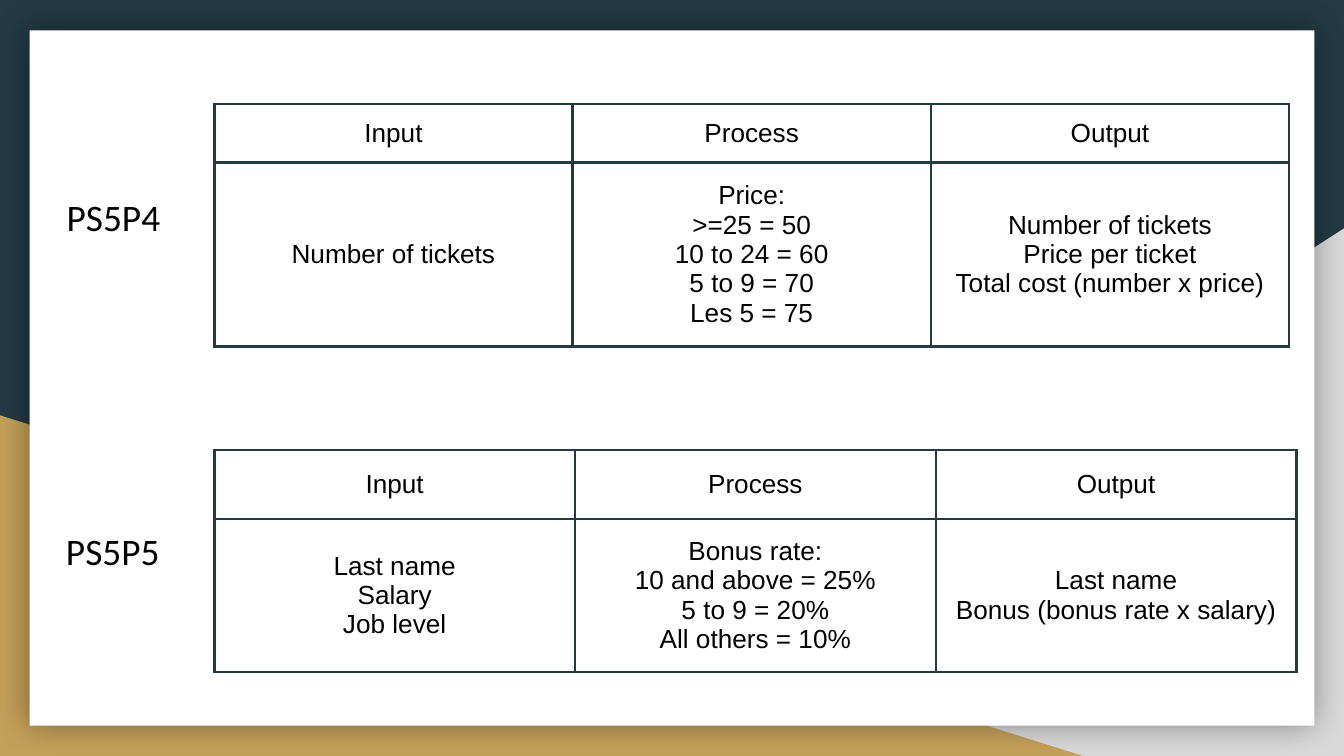
"""Build a slide with two input, process and output tables on a white card."""
import pptx
import pptx.dml.color
import pptx.enum.shapes
import pptx.enum.text
import pptx.oxml
import pptx.oxml.ns
import pptx.util

COLORS = {"navy": "233A44", "grey": "D9D9D9", "gold": "C4A15A", "white": "FFFFFF", "black": "000000"}
NAMESPACE = pptx.oxml.ns.nsdecls("a")
MARGINS = ("margin_left", "margin_right", "margin_top", "margin_bottom")

presentation = pptx.Presentation()
presentation.slide_width = pptx.util.Inches(10)
presentation.slide_height = presentation.slide_width * 9 // 16
column = presentation.slide_width / 100
row = presentation.slide_height / 56.25
slide = presentation.slides.add_slide(presentation.slide_layouts[6])
slide.background.fill.solid()
slide.background.fill.fore_color.rgb = pptx.dml.color.RGBColor.from_string(COLORS["navy"])


def place(left, top, width, height):
    return [round(left * column), round(top * row), round(width * column), round(height * row)]


def write(text_frame, lines, font_name, size):
    text_frame.text = "\n".join(lines)
    for paragraph in text_frame.paragraphs:
        paragraph.alignment = pptx.enum.text.PP_ALIGN.CENTER
        font = paragraph.runs[0].font
        for name, value in {"name": font_name, "size": pptx.util.Pt(size), "bold": False}.items():
            setattr(font, name, value)
        font.color.rgb = pptx.dml.color.RGBColor.from_string(COLORS["black"])


shape_types = pptx.enum.shapes.MSO_SHAPE
backdrop = [
    (shape_types.RIGHT_TRIANGLE, (39.2, 17, 60.8, 39.25), "grey"),
    (shape_types.RIGHT_TRIANGLE, (0, 30.9, 80.6, 25.35), "gold"),
    (shape_types.RECTANGLE, (2.2, 2.25, 95.6, 51.75), "white"),
]
shapes = []
for shape_type, box, color in backdrop:
    shape = slide.shapes.add_shape(shape_type, *place(*box))
    shape.shadow.inherit = False
    shape.fill.solid()
    shape.fill.fore_color.rgb = pptx.dml.color.RGBColor.from_string(COLORS[color])
    shape.line.fill.background()
    shapes.append(shape)

grey_triangle, gold_triangle, card = shapes
grey_triangle.element.spPr.xfrm.set("flipH", "1")
effects = card.element.spPr.find(pptx.oxml.ns.qn("a:effectLst"))
effects.append(pptx.oxml.parse_xml(
    f'<a:outerShdw {NAMESPACE} blurRad="{pptx.util.Pt(18)}" dist="0" dir="0" algn="ctr" rotWithShape="0">'
    f'<a:srgbClr val="{COLORS["black"]}"><a:alpha val="40000"/></a:srgbClr></a:outerShdw>'))

problems = [
    {
        "label": "PS5P4", "label_at": (-0.75, 12.35), "table_at": (15.95, 7.75),
        "column_width": 26.66, "row_heights": (4.1, 12.2),
        "details": [
            ["Number of tickets"],
            ["Price:", ">=25 = 50", "10 to 24 = 60", "5 to 9 = 70", "Les 5 = 75"],
            ["Number of tickets", "Price per ticket", "Total cost (number x price)"],
        ],
    },
    {
        "label": "PS5P5", "label_at": (-0.8, 37.2), "table_at": (15.95, 33.5),
        "column_width": 26.84, "row_heights": (5.1, 11.4),
        "details": [
            ["Last name", "Salary", "Job level"],
            ["Bonus rate:", "10 and above = 25%", "5 to 9 = 20%", "All others = 10%"],
            ["Last name", "Bonus (bonus rate x salary)"],
        ],
    },
]
headings = [["Input"], ["Process"], ["Output"]]
frame_format = {name: round(column) for name in MARGINS}
frame_format["vertical_anchor"] = pptx.enum.text.MSO_ANCHOR.MIDDLE

for problem in problems:
    label = slide.shapes.add_textbox(*place(*problem["label_at"], 18.4, 7.5))
    for name, value in {**frame_format, "word_wrap": True}.items():
        setattr(label.text_frame, name, value)
    write(label.text_frame, [problem["label"]], "Calibri", 20)

    box = place(*problem["table_at"], 32.8, 32.8)
    table_frame = slide.shapes.add_table(2, 3, *box)
    table = table_frame.table
    table.first_row = False
    table.horz_banding = False
    for table_column in table.columns:
        table_column.width = round(problem["column_width"] * column)
    for table_row, height, contents in zip(table.rows, problem["row_heights"], (headings, problem["details"])):
        table_row.height = round(height * row)
        for cell, lines in zip(table_row.cells, contents):
            for name, value in frame_format.items():
                setattr(cell, name, value)
            write(cell.text_frame, lines, "Arial", 14)
            properties = cell._tc.get_or_add_tcPr()
            for side in ("lnL", "lnR", "lnT", "lnB"):
                properties.append(pptx.oxml.parse_xml(
                    f'<a:{side} {NAMESPACE} w="{pptx.util.Pt(1.5)}"><a:solidFill>'
                    f'<a:srgbClr val="{COLORS["navy"]}"/></a:solidFill></a:{side}>'))
            cell.fill.background()
    table_frame.width, table_frame.height = box[2:]

presentation.save("out.pptx")
